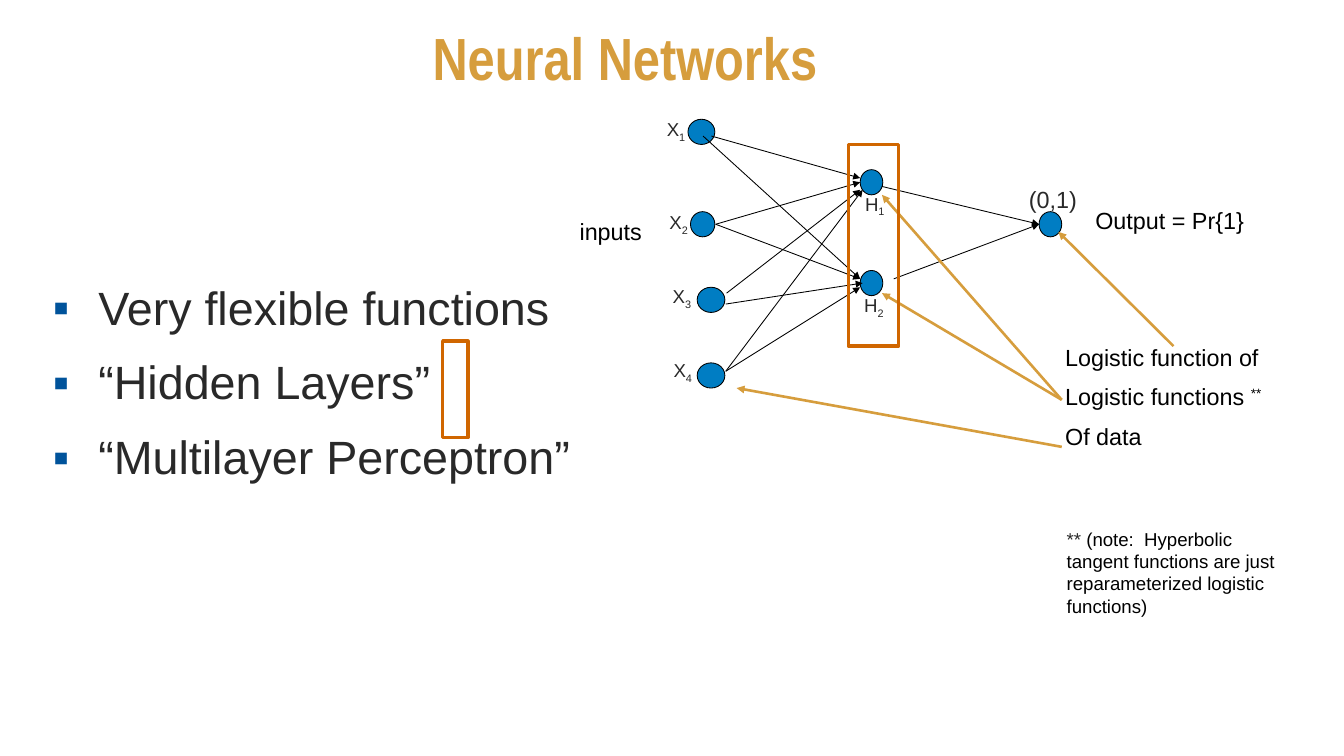
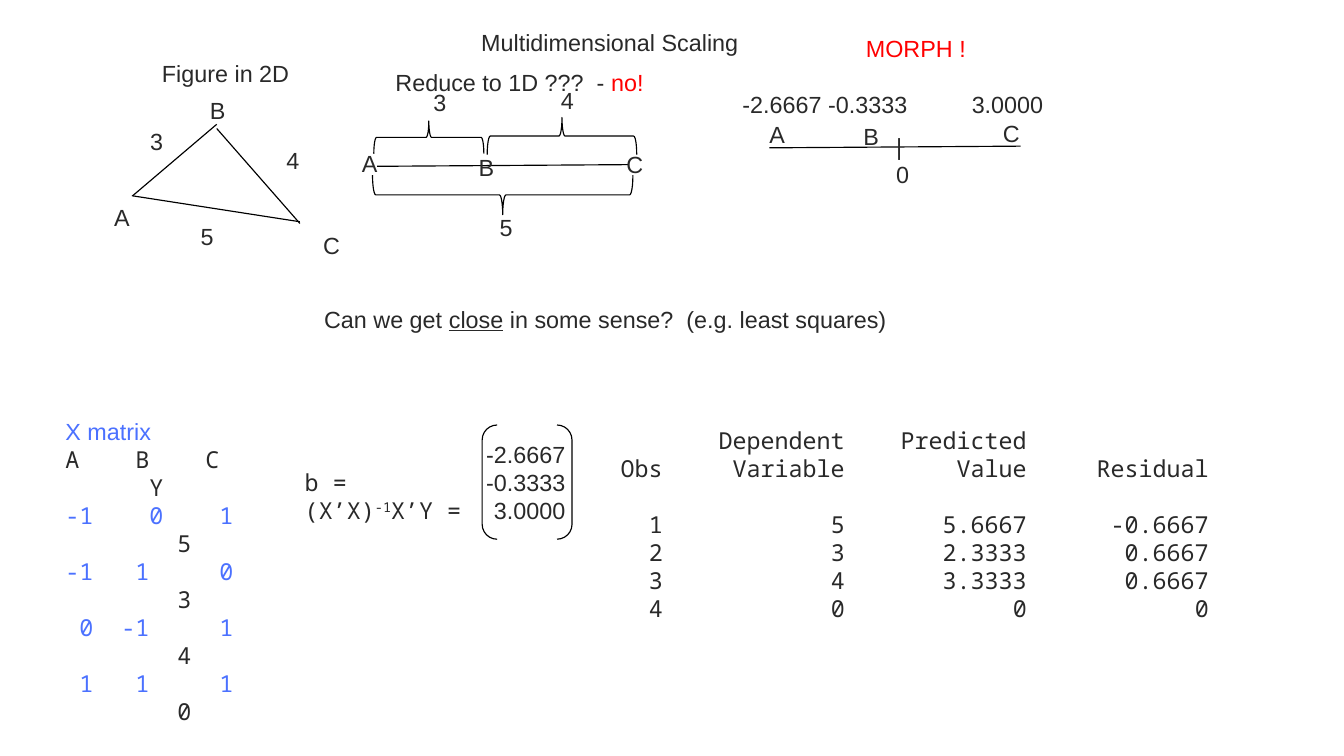
from lxml import etree
from pptx import Presentation
from pptx.dml.color import RGBColor
from pptx.enum.shapes import MSO_CONNECTOR, MSO_SHAPE
from pptx.enum.text import MSO_ANCHOR, PP_ALIGN
from pptx.oxml.ns import qn
from pptx.util import Inches, Pt

STRAIGHT = MSO_CONNECTOR.STRAIGHT
OVAL, RECT = MSO_SHAPE.OVAL, MSO_SHAPE.RECTANGLE
BRACE, BRACKETS = MSO_SHAPE.LEFT_BRACE, MSO_SHAPE.DOUBLE_BRACKET
MIDDLE, BOTTOM = MSO_ANCHOR.MIDDLE, MSO_ANCHOR.BOTTOM
RIGHT = PP_ALIGN.RIGHT

COLORS = {
    "gold": "D69D3D", "ink": "292929", "black": "000000", "node": "007DC3",
    "bullet": "00539B", "frame": "D06600", "red": "FF0000", "matrix": "4B71FF",
}
SANS, NARROW, MONO = "Arial", "Arial Narrow", "Noto Sans Mono"
LINE = 1.2
CHAR = 1 / 6


def rgb(name):
    return RGBColor.from_string(COLORS[name])


def add_run(p, text, color="ink", size=20, font=SANS, base=0, bold=False, underline=False):
    r = p.add_run()
    r.text = text
    r.font.name = font
    r.font.size = Pt(size)
    r.font.bold = bold
    r.font.underline = underline
    r.font.color.rgb = rgb(color)
    if base:
        r._r.get_or_add_rPr().set("baseline", str(base * 1000))


def add_frame(s, x, y, w, h, wrap=True, inset=(0.1, 0.05)):
    tf = s.shapes.add_textbox(Inches(x), Inches(y), Inches(w), Inches(h)).text_frame
    tf.word_wrap = wrap
    tf.margin_left = tf.margin_right = Inches(inset[0])
    tf.margin_top = tf.margin_bottom = Inches(inset[1])
    return tf


def add_para(tf, first, size=20):
    p = tf.paragraphs[0] if first else tf.add_paragraph()
    p.line_spacing = Pt(size * LINE)
    return p


def add_label(s, x, y, w, *runs, wrap=False, size=20, inset=(0.1, 0.05), h=0.44):
    tf = add_frame(s, x, y, w, h, wrap, inset)
    p = add_para(tf, True, size)
    for text, style in runs:
        add_run(p, text, size=size, **style)


def add_tabs(p, stops, align):
    tabs = etree.SubElement(p._p.get_or_add_pPr(), qn("a:tabLst"))
    for stop in stops:
        etree.SubElement(tabs, qn("a:tab"), pos=str(Inches(stop)), algn=align)


def add_bullet(p, indent):
    pPr = p._p.get_or_add_pPr()
    pPr.set("marL", str(Inches(indent)))
    pPr.set("indent", str(-Inches(indent)))
    color = etree.SubElement(pPr, qn("a:buClr"))
    etree.SubElement(color, qn("a:srgbClr"), val=COLORS["bullet"])
    etree.SubElement(pPr, qn("a:buFont"), typeface=SANS)
    etree.SubElement(pPr, qn("a:buChar"), char="▪")


def add_shape(s, kind, x, y, w, h, line="black", width=1, fill=None, rotation=0):
    sp = s.shapes.add_shape(kind, Inches(x), Inches(y), Inches(w), Inches(h))
    sp.shadow.inherit = False
    sp.rotation = rotation
    sp.line.color.rgb = rgb(line)
    sp.line.width = Pt(width)
    if fill:
        sp.fill.solid()
        sp.fill.fore_color.rgb = rgb(fill)
    else:
        sp.fill.background()


def add_line(s, x1, y1, x2, y2, color="black", width=1, arrow=False):
    c = s.shapes.add_connector(STRAIGHT, Inches(x1), Inches(y1), Inches(x2), Inches(y2))
    c.line.color.rgb = rgb(color)
    c.line.width = Pt(width)
    if arrow:
        etree.SubElement(c.line._get_or_add_ln(), qn("a:tailEnd"), type="triangle")
    etree.SubElement(c._element.spPr, qn("a:effectLst"))


def add_network(s):
    nodes = [
        (8.19, 1.42, 0.32), (8.22, 2.52, 0.29), (8.3, 3.42, 0.33), (8.3, 4.32, 0.33),
        (10.24, 2.02, 0.27), (10.24, 3.22, 0.27), (12.37, 2.52, 0.27),
    ]
    for x, y, w in nodes:
        add_shape(s, OVAL, x, y, w, 0.3, width=0.75, fill="node")

    links = [
        (8.64, 4.42, 10.24, 3.42), (8.64, 4.42, 10.27, 2.26),
        (8.64, 3.62, 10.27, 3.37), (8.65, 3.49, 10.24, 2.26),
        (8.52, 2.67, 10.24, 2.17), (8.52, 2.67, 10.24, 3.32),
        (8.47, 1.62, 10.24, 2.12), (8.37, 1.62, 10.24, 3.32),
        (10.64, 3.32, 12.37, 2.67), (10.5, 2.22, 12.37, 2.67),
    ]
    for link in links:
        add_line(s, *link, width=0.75, arrow=True)

    pointers = [
        (13.97, 4.12, 12.6, 2.76), (12.64, 4.76, 10.5, 3.49),
        (12.64, 5.32, 8.77, 4.62), (12.64, 4.76, 10.5, 2.32),
    ]
    for pointer in pointers:
        add_line(s, *pointer, color="gold", width=2.25, arrow=True)

    for frame in [(10.1, 1.72, 0.6, 2.4), (5.27, 4.06, 0.3, 1.15)]:
        add_shape(s, RECT, *frame, line="frame", width=3)

    names = [
        ("X", "1", 7.84, 1.39), ("X", "2", 7.87, 2.5), ("X", "3", 7.91, 3.38),
        ("X", "4", 7.92, 4.26), ("H", "1", 10.2, 2.28), ("H", "2", 10.19, 3.49),
    ]
    for letter, index, x, y in names:
        add_label(s, x, y, 0.5, (letter, {}), (index, {"base": -25}), size=16, h=0.37)


def build_networks(prs):
    s = prs.slides.add_slide(prs.slide_layouts[6])
    wide = (0.14, 0.07)

    tf = add_frame(s, 5.01, 0.27, 5.5, 0.95, inset=wide)
    tf.vertical_anchor = MIDDLE
    p = tf.paragraphs[0]
    p.line_spacing = 0.83
    add_run(p, "Neural Networks", "gold", 51, NARROW, bold=True)

    tf = add_frame(s, 0.49, 3.32, 6.58, 3.62, inset=wide)
    points = ["Very flexible functions", "“Hidden Layers”", "“Multilayer Perceptron”"]
    for i, text in enumerate(points):
        p = add_para(tf, i == 0)
        add_bullet(p, 0.54)
        p.line_spacing = 0.9
        p.space_before = Pt(14 if i else 0)
        p.space_after = Pt(7)
        add_run(p, text, size=40)

    add_network(s)

    tf = add_frame(s, 12.54, 4.01, 3.3, 1.49, inset=wide)
    for i, text in enumerate(["Logistic function of", "Logistic functions ", "Of data"]):
        p = add_para(tf, i == 0)
        p.space_before = Pt(10 if i else 0)
        add_run(p, text, "black")
        if i == 1:
            add_run(p, "**", "black", base=30)

    black = {"color": "black"}
    add_label(s, 12.9, 2.38, 2.07, ("Output = Pr{1}", black), inset=wide)
    add_label(s, 6.76, 2.52, 1.04, ("inputs", black), inset=wide)
    add_label(s, 12.15, 2.15, 0.78, ("(0,1)", {}))
    note = "(note:  Hyperbolic tangent functions are just reparameterized logistic functions)"
    add_label(s, 12.6, 6.23, 2.75, ("** ", {}), (note, black), wrap=True, size=16, h=1.18)


def add_figures(s):
    lines = [
        (1.58, 2.33, 2.58, 1.48), (2.58, 1.53, 3.57, 2.66), (1.57, 2.33, 3.57, 2.64),
        (4.49, 1.98, 7.48, 1.96), (9.16, 1.76, 12.15, 1.74),
    ]
    for line in lines:
        add_line(s, *line)

    braces = [
        (5.75, 0.77, 0.47, 3.1, 270), (4.91, 0.98, 0.39, 1.31, 90), (6.47, 0.73, 0.44, 1.78, 90),
    ]
    for *box, rotation in braces:
        add_shape(s, BRACE, *box, rotation=rotation)

    marks = [
        ("3", 1.69, 1.47), ("4", 3.31, 1.69), ("5", 2.29, 2.59),
        ("A", 1.26, 2.37), ("B", 2.4, 1.1), ("C", 3.75, 2.7),
        ("3", 5.06, 1), ("4", 6.58, 0.98), ("5", 5.85, 2.49),
        ("A", 4.21, 1.73), ("B", 5.6, 1.77), ("C", 7.36, 1.74),
        ("A", 9.06, 1.38), ("B", 10.18, 1.4), ("C", 11.84, 1.37),
    ]
    for text, x, y in marks:
        add_label(s, x, y, 0.36, (text, {}), wrap=True)

    tf = add_frame(s, 10.57, 1.53, 0.35, 0.77)
    for i, text in enumerate("|0"):
        add_run(add_para(tf, i == 0), text)

    tf = add_frame(s, 8.74, 1.03, 4.49, 0.44)
    p = add_para(tf, True)
    add_tabs(p, [1.02, 2.73], "l")
    add_run(p, "-2.6667\t-0.3333\t3.0000")


def add_matrix(s):
    tf = add_frame(s, 0.68, 4.92, 2.31, 3.77)
    add_run(add_para(tf, True), "X matrix", "matrix")
    rows = [
        ("ink", "A B C", (1, 6, 11), "Y", 7),
        ("matrix", "-1 0 1", (2, 7, 12), "5", 9),
        ("matrix", "-1 1 0", (2, 6, 12), "3", 9),
        ("matrix", "0 -1 1", (2, 6, 12), "4", 9),
        ("matrix", "1 1 1", (2, 6, 12), "0", 9),
    ]
    for color, entries, ends, y_value, y_end in rows:
        for values, stops, tint in [(entries.split(), ends, color), ([y_value], [y_end], "ink")]:
            p = add_para(tf, False)
            add_tabs(p, [n * CHAR for n in stops], "r")
            add_run(p, "".join("\t" + v for v in values), tint, font=MONO)


def add_results(s):
    rows = [
        ("Obs", "Dependent Variable", "Predicted Value", "Residual"),
        ("1", "5", "5.6667", "-0.6667"),
        ("2", "3", "2.3333", "0.6667"),
        ("3", "4", "3.3333", "0.6667"),
        ("4", "0", "0", "0"),
    ]
    row_h = 2 * CHAR
    table = s.shapes.add_table(
        len(rows), 4, Inches(6.89), Inches(5.1), Inches(45 * CHAR), Inches(7 * row_h)).table
    table.first_row = table.horz_banding = False
    for column, chars in zip(table.columns, (6, 13, 13, 13)):
        column.width = Inches(chars * CHAR)
    for i, values in enumerate(rows):
        table.rows[i].height = Inches(row_h if i else 3 * row_h)
        for j, value in enumerate(values):
            cell = table.cell(i, j)
            cell.fill.background()
            cell.margin_left = cell.margin_right = cell.margin_top = 0
            cell.margin_bottom = Inches(0 if i else row_h)
            cell.vertical_anchor = BOTTOM
            p = add_para(cell.text_frame, True)
            p.alignment = RIGHT
            add_run(p, value, font=MONO)


def build_scaling(prs):
    s = prs.slides.add_slide(prs.slide_layouts[6])
    add_figures(s)

    red, mono = {"color": "red"}, {"font": MONO}
    add_label(s, 5.63, 0.29, 3.29, ("Multidimensional Scaling", {}))
    add_label(s, 1.83, 0.66, 1.73, ("Figure in 2D", {}))
    add_label(s, 4.61, 0.76, 3.18, ("Reduce to 1D ???  - ", {}), ("no!", red))
    add_label(s, 10.21, 0.36, 1.5, ("MORPH !", red))
    add_label(s, 3.76, 3.58, 7.02, ("Can we get ", {}), ("close", {"underline": True}),
              (" in some sense?  (e.g. least squares)", {}))

    add_matrix(s)
    add_label(s, 3.53, 5.52, 2.14, ("b = (X’X)", mono), ("-1", {"font": MONO, "base": 30}),
              ("X’Y =", mono), wrap=True, h=0.77)

    tf = add_frame(s, 5.68, 5.19, 1.15, 1.11)
    for i, value in enumerate(["-2.6667", "-0.3333", "3.0000"]):
        p = add_para(tf, i == 0)
        p.alignment = RIGHT
        add_run(p, value)
    add_shape(s, BRACKETS, 5.74, 5.06, 1.07, 1.36)
    add_results(s)


def main():
    prs = Presentation()
    prs.slide_width, prs.slide_height = Inches(16), Inches(9)
    build_networks(prs)
    build_scaling(prs)
    prs.save("out.pptx")


if __name__ == "__main__":
    main()
